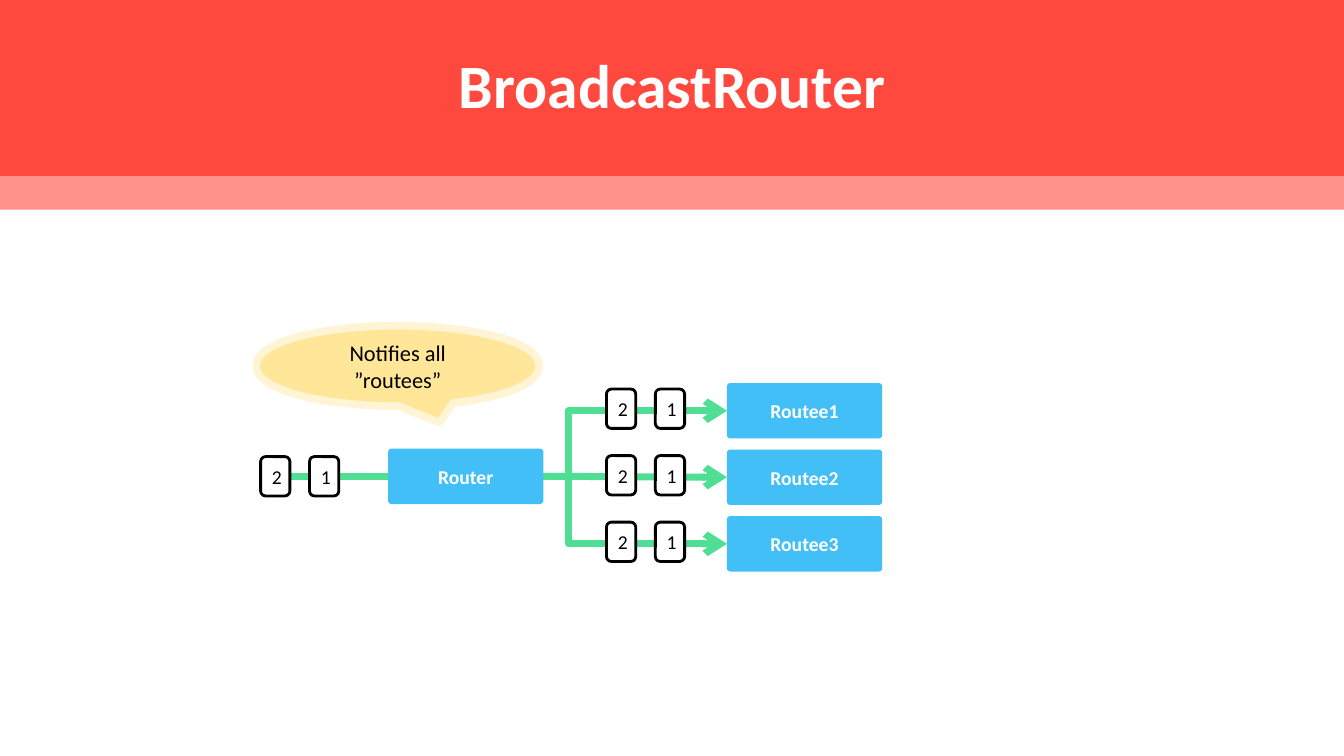
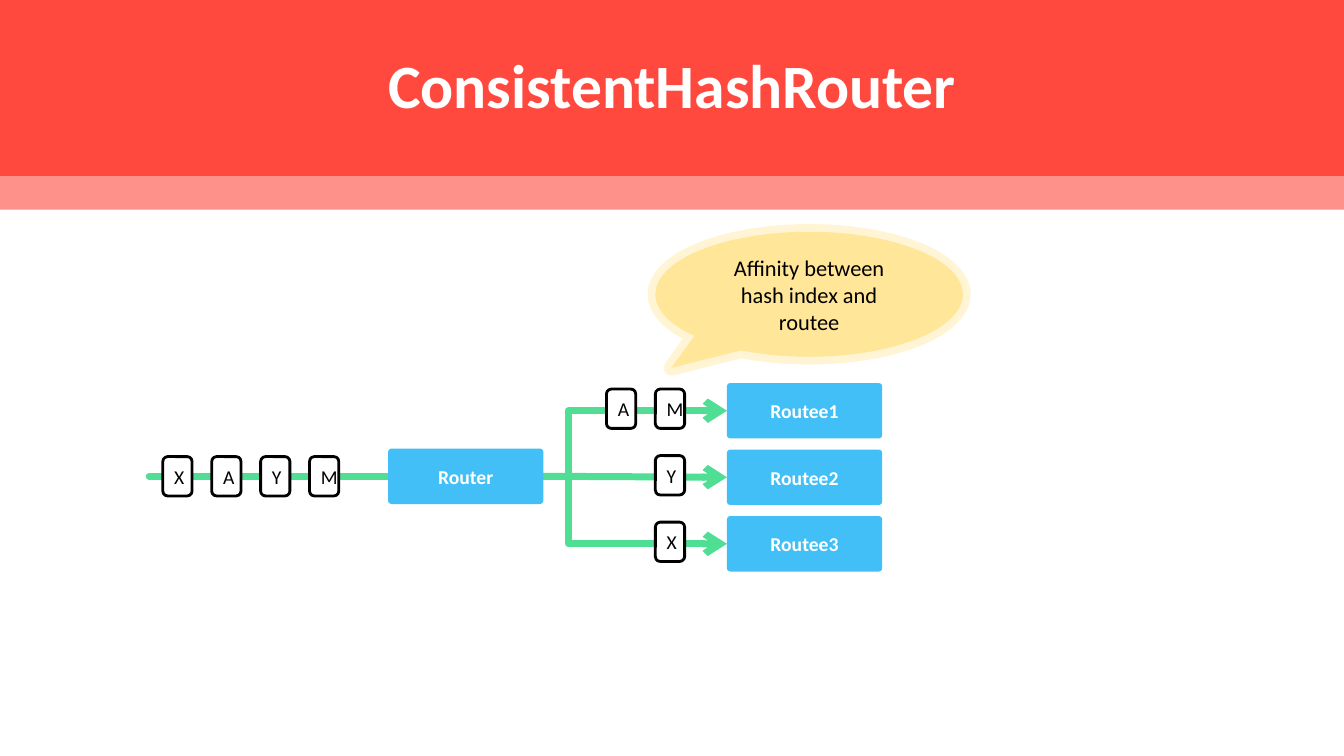
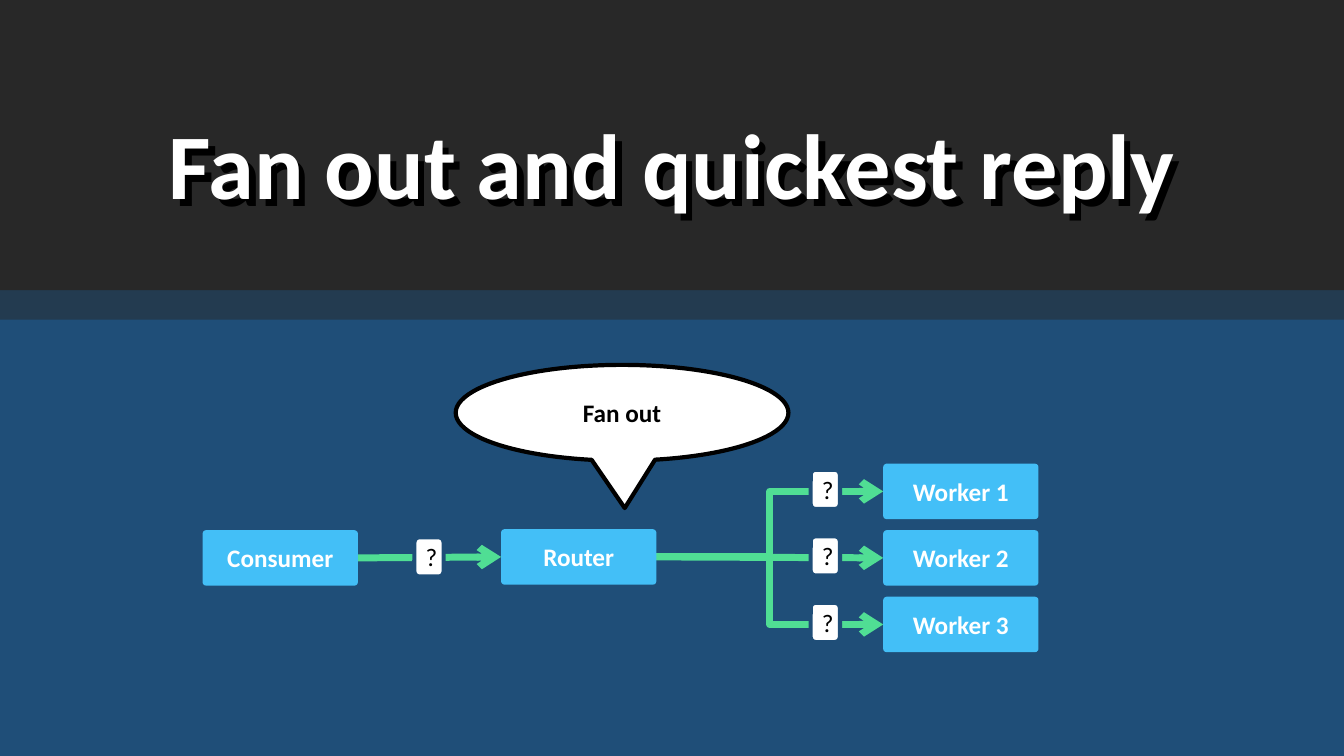
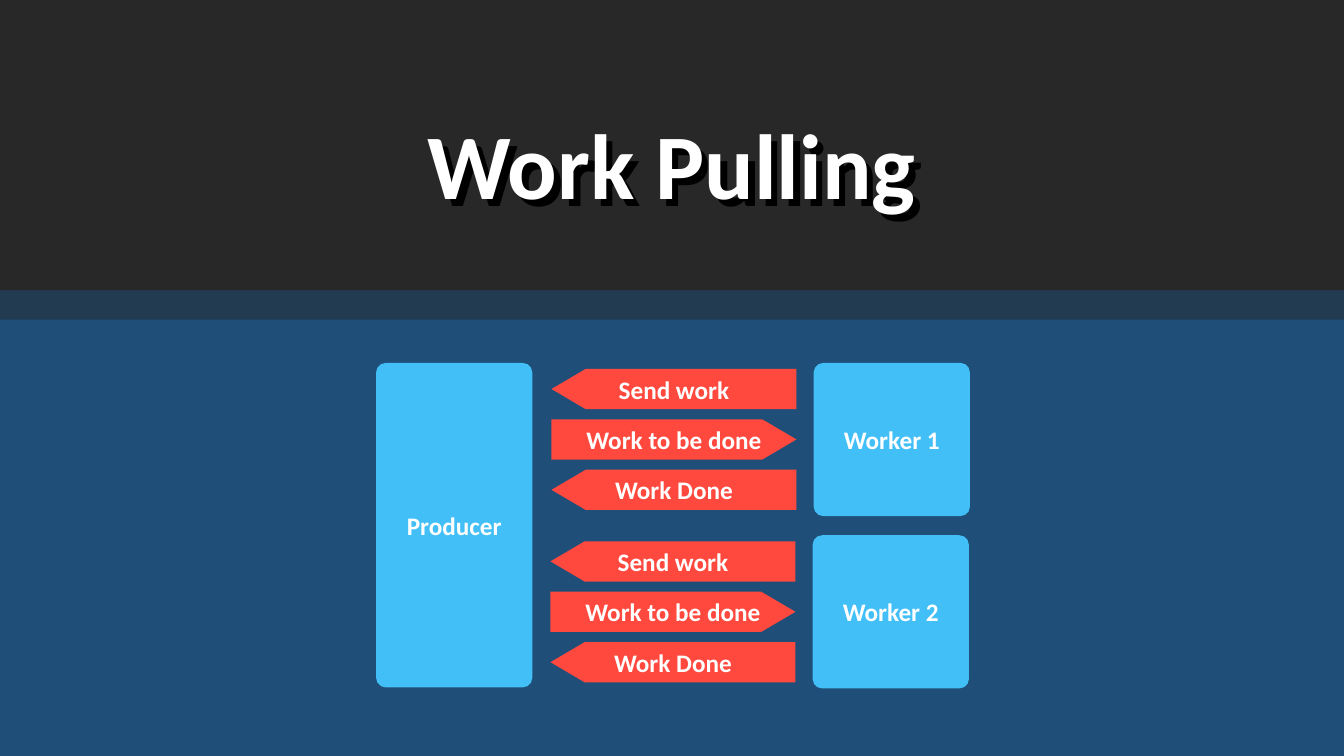
"""Build four slides on message routing patterns."""
from pptx import Presentation
from pptx.dml.color import RGBColor as RGB
from pptx.enum.shapes import MSO_CONNECTOR as WIRE, MSO_SHAPE as SHAPE
from pptx.enum.text import MSO_ANCHOR as ANCHOR, MSO_AUTO_SIZE as FIT, PP_ALIGN as ALIGN
from pptx.oxml.ns import qn
from pptx.oxml.xmlchemy import OxmlElement as Node
from pptx.util import Inches, Pt

WHITE = RGB(0xFF, 0xFF, 0xFF)
BLACK = RGB(0, 0, 0)
RED = RGB(0xFF, 0x49, 0x3E)
BLUE = RGB(0x43, 0xBF, 0xF7)
GREEN = RGB(0x50, 0xDE, 0x94)
YELLOW = RGB(0xFF, 0xE6, 0x99)
NAVY = RGB(0x1F, 0x4E, 0x78)
SLATE = RGB(0x23, 0x3B, 0x50)
COAL = RGB(0x28, 0x28, 0x28)
FONT = "Calibri"
WIDE, HIGH = 13.33, 7.5
BOX_W, BOX_H = 1.54, 0.55
CHIP_W, CHIP_H, CHIP_STEP = 0.29, 0.39, 0.485
ROW_STEP = 0.66

LIGHT = {"back": WHITE, "bands": [(0, 1.75, RED, 100), (1.75, 0.33, RED, 60)],
         "title": (0.92, 0.15, 11.5, 1.45), "size": 44, "lines": 0.9, "shade": False}
DARK = {"back": NAVY, "bands": [(2.88, 0.29, SLATE, 100), (0, 2.88, COAL, 100)],
        "title": (0, 1.01, WIDE, 1.21), "size": 66, "lines": 1.0, "shade": True}

ROUTEES = ["Routee1", "Routee2", "Routee3"]
ROUTER = {"hub": (3.85, 4.45), "rows": (7.21, 3.8), "names": ROUTEES, "bend": 0.135,
          "size": 14, "rim": (BLACK, 2), "in_x": 3.07, "out_x": 6.5, "source": None}
BUBBLE = {"fill": YELLOW, "rim": (YELLOW, 11, 42), "size": 16, "bold": False}

FLOWS = [
    (LIGHT, "BroadcastRouter",
     {**ROUTER, "start": 2.75, "queue": "12", "outs": ["12", "12", "12"]},
     {**BUBBLE, "text": "Notifies all ”routees”", "at": (2.58, 3.27, 2.73, 0.72),
      "tip": (0.147, 0.715)}),
    (LIGHT, "ConsistentHashRouter",
     {**ROUTER, "start": 1.48, "queue": "MYAX", "outs": ["MA", "Y", "X"]},
     {**BUBBLE, "text": "Affinity between hash index and routee",
      "at": (6.5, 2.3, 3.05, 1.24), "tip": (-0.448, 0.589)}),
    (DARK, "Fan out and quickest reply",
     {"hub": (4.97, 5.25), "rows": (8.76, 4.6), "names": ["Worker 1", "Worker 2", "Worker 3"],
      "bend": 0.5, "size": 18, "rim": (NAVY, 3), "in_x": 4.11, "out_x": 8.04,
      "source": ("Consumer", 2.01, 5.26), "queue": "?", "outs": ["?", "?", "?"]},
     {"text": "Fan out", "at": (4.52, 3.62, 3.3, 0.95), "tip": (0.008, 0.995),
      "fill": WHITE, "rim": (BLACK, 3, 100), "size": 18, "bold": True}),
]

PULL_TITLE = "Work Pulling"
PRODUCER = ("Producer", (3.73, 3.6, 1.55, 3.22))
WORKERS = [("Worker 1", 8.07, 3.6), ("Worker 2", 8.06, 5.31)]
STEPS = [("Send work", False), ("Work to be done", True), ("Work Done", False)]


def fade(fill, pct):
    """Make a solid fill or line partly transparent."""
    if pct < 100:
        alpha = Node("a:alpha")
        alpha.set("val", str(pct * 1000))
        fill.find(".//" + qn("a:srgbClr")).append(alpha)


def write(shape, text, size, color=WHITE, bold=True):
    """Put centred text in a shape."""
    frame = shape.text_frame
    frame.word_wrap = True
    frame.vertical_anchor = ANCHOR.MIDDLE
    frame.text = text
    para = frame.paragraphs[0]
    para.alignment = ALIGN.CENTER
    font = para.font
    font.name, font.size, font.bold = FONT, Pt(size), bold
    font.color.rgb = color
    return para


def paint(shape, fill, rim=None):
    """Give a shape a flat fill and an optional outline."""
    shape.shadow.inherit = False
    shape.fill.solid()
    shape.fill.fore_color.rgb = fill
    if rim:
        shape.line.color.rgb, shape.line.width = rim[0], Pt(rim[1])
    else:
        shape.line.fill.background()


def add(slide, kind, at, fill, rim=None):
    """Add a painted preset shape."""
    shape = slide.shapes.add_shape(kind, *map(Inches, at))
    paint(shape, fill, rim)
    return shape


def add_box(slide, text, at, size):
    """Add a blue labelled box."""
    box = add(slide, SHAPE.ROUNDED_RECTANGLE, at, BLUE)
    box.adjustments[0] = 0.062
    write(box, text, size)
    return box


def add_chips(slide, texts, right, top, size, rim):
    """Add a queue of messages, the first one rightmost."""
    for i, text in enumerate(texts):
        at = (right - i * CHIP_STEP, top, CHIP_W, CHIP_H)
        chip = add(slide, SHAPE.ROUNDED_RECTANGLE, at, WHITE, rim)
        write(chip, text, size, BLACK, False)


def add_wire(slide, kind, start, end, under, head=True, bend=None):
    """Add a green connector behind a given shape."""
    wire = slide.shapes.add_connector(kind, *map(Inches, start + end))
    wire.line.color.rgb, wire.line.width = GREEN, Pt(5)
    line = wire.line._get_or_add_ln()
    line.set("cap", "rnd")
    line.append(Node("a:round"))
    if head:
        tail = Node("a:tailEnd")
        tail.set("type", "arrow")
        line.append(tail)
    wire.element.spPr.append(Node("a:effectLst"))
    if bend:
        guide = Node("a:gd")
        guide.set("name", "adj1")
        guide.set("fmla", f"val {round(bend * 100000)}")
        wire.element.find(".//" + qn("a:avLst")).append(guide)
    under.element.addprevious(wire.element)
    return wire


def add_slide(deck, style, text):
    """Add a slide with its background, bands and title."""
    slide = deck.slides.add_slide(deck.slide_layouts[5])
    back = slide.background.fill
    back.solid()
    back.fore_color.rgb = style["back"]
    title = slide.shapes.title
    for top, high, color, pct in style["bands"]:
        band = add(slide, SHAPE.RECTANGLE, (0, top, WIDE, high), color)
        fade(band.element.spPr, pct)
        title.element.addprevious(band.element)
    title.left, title.top, title.width, title.height = map(Inches, style["title"])
    write(title, text, style["size"]).line_spacing = style["lines"]
    title.text_frame.auto_size = FIT.NONE
    if style["shade"]:
        title.fill.background()
        effects, shade, color = Node("a:effectLst"), Node("a:outerShdw"), Node("a:srgbClr")
        shade.set("dist", str(Inches(0.09)))
        shade.set("dir", "2700000")
        color.set("val", str(BLACK))
        shade.append(color)
        effects.append(shade)
        title.element.spPr.append(effects)
    return slide


def add_flow(slide, flow):
    """Draw a router with its incoming queue and its receivers."""
    size, rim = flow["size"], flow["rim"]
    hub_x, hub_y = flow["hub"]
    row_x, row_y = flow["rows"]
    hub_mid = hub_y + BOX_H / 2
    hub = add_box(slide, "Router", (hub_x, hub_y, BOX_W, BOX_H), size)
    for i, (name, outs) in enumerate(zip(flow["names"], flow["outs"])):
        top = row_y + i * ROW_STEP
        box = add_box(slide, name, (row_x, top, BOX_W, BOX_H), size)
        start, end = (hub_x + BOX_W, hub_mid), (row_x, top + BOX_H / 2)
        if i == 1:
            wire = add_wire(slide, WIRE.STRAIGHT, start, end, hub)
            wire.begin_connect(hub, 3)
            wire.end_connect(box, 1)
        else:
            add_wire(slide, WIRE.ELBOW, start, end, hub, bend=flow["bend"])
        add_chips(slide, outs, flow["out_x"], top + 0.06, size, rim)
    if flow["source"]:
        name, left, top = flow["source"]
        box = add_box(slide, name, (left, top, BOX_W, BOX_H), size)
        feed = add_wire(slide, WIRE.STRAIGHT, (left + BOX_W, hub_mid), (hub_x, hub_mid), hub)
        feed.begin_connect(box, 3)
    else:
        feed = add_wire(slide, WIRE.STRAIGHT, (flow["start"], hub_mid), (hub_x, hub_mid),
                        hub, head=False)
    feed.end_connect(hub, 1)
    add_chips(slide, flow["queue"], flow["in_x"], hub_y + 0.08, size, rim)


def add_bubble(slide, note):
    """Add a speech bubble."""
    color, width, pct = note["rim"]
    bubble = add(slide, SHAPE.OVAL_CALLOUT, note["at"], note["fill"], (color, width))
    bubble.adjustments[0], bubble.adjustments[1] = note["tip"]
    fade(bubble.line._get_or_add_ln(), pct)
    write(bubble, note["text"], note["size"], BLACK, note["bold"])


def add_arrow(slide, text, left, top, ahead):
    """Add a red pointed label facing right or left."""
    wide, high, tip = 2.43, 0.4, 0.34
    points = [(0, 0), (wide - tip, 0), (wide, high / 2), (wide - tip, high), (0, high)]
    spots = [(Inches(left + (x if ahead else wide - x)), Inches(top + y)) for x, y in points]
    path = slide.shapes.build_freeform(*spots[0])
    path.add_line_segments(spots[1:], close=True)
    arrow = path.convert_to_shape()
    paint(arrow, RED)
    write(arrow, text, 18)


def add_pull(slide):
    """Draw the exchange between the producer and its workers."""
    add_box(slide, *PRODUCER, 18)
    for name, left, top in WORKERS:
        add_box(slide, name, (left, top, 1.55, 1.52), 18)
        for i, (text, ahead) in enumerate(STEPS):
            add_arrow(slide, text, left - 2.6, top + 0.06 + i * 0.5, ahead)


def main():
    """Build and save the deck."""
    deck = Presentation()
    deck.slide_width, deck.slide_height = Inches(WIDE), Inches(HIGH)
    for style, title, flow, note in FLOWS:
        slide = add_slide(deck, style, title)
        add_flow(slide, flow)
        add_bubble(slide, note)
    add_pull(add_slide(deck, DARK, PULL_TITLE))
    deck.save("out.pptx")


if __name__ == "__main__":
    main()
